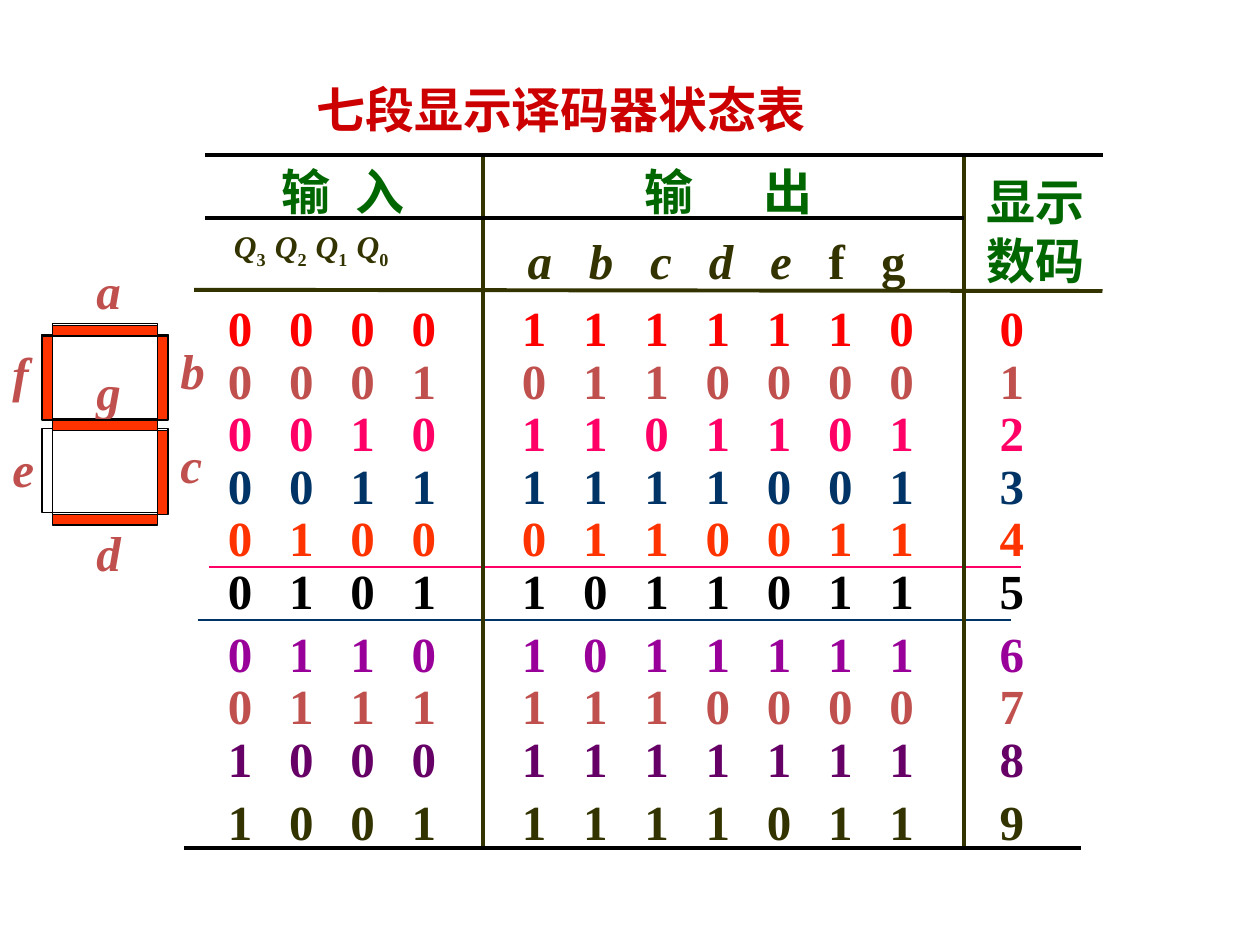
from lxml import etree
from pptx import Presentation
from pptx.dml.color import RGBColor
from pptx.enum.shapes import MSO_CONNECTOR, MSO_SHAPE
from pptx.enum.text import MSO_ANCHOR, MSO_AUTO_SIZE, PP_ALIGN
from pptx.oxml.ns import qn
from pptx.util import Pt

STRAIGHT = MSO_CONNECTOR.STRAIGHT
RECTANGLE = MSO_SHAPE.RECTANGLE
TOP = MSO_ANCHOR.TOP
LEFT = PP_ALIGN.LEFT
NO_AUTOFIT = MSO_AUTO_SIZE.NONE

FONT = "Times New Roman"
TITLE_ONLY = 5
COLORS = {
    "title": "CC0000", "heading": "006600", "olive": "333300", "black": "000000",
    "white": "FFFFFF", "lit": "FF3300", "red": "FF0000", "brick": "C0504D",
    "pink": "FF0066", "navy": "003366", "violet": "990099", "purple": "660066",
}

# Input bits, output bits a to g, colour; the row number is the displayed digit.
STATES = [
    ("0000", "1111110", "red"), ("0001", "0110000", "brick"),
    ("0010", "1101101", "pink"), ("0011", "1111001", "navy"),
    ("0100", "0110011", "lit"), ("0101", "1011011", "black"),
    ("0110", "1011111", "violet"), ("0111", "1110000", "brick"),
    ("1000", "1111111", "purple"), ("1001", "1111011", "olive"),
]
BIT_PITCH = 35
STATE_TABS = ([BIT_PITCH * i for i in range(1, 4)]
              + [168 + BIT_PITCH * i for i in range(7)] + [441])
ROW_TOP, ROW_PITCH, ROW_GAP = 166.5, 30, 6
GAPS_BEFORE = (6, 9)

# Start x, start y, end x, end y, colour, width.
RULES = [
    (113, 354.2, 577.5, 354.2, "navy", 1.5),
    (119.5, 324, 583.2, 324, "pink", 1.5),
    (110.9, 165.6, 630, 166.3, "olive", 2.25),
    (275.8, 88.6, 275.8, 484.6, "olive", 2.25),
    (550.8, 88.6, 550.8, 484.6, "olive", 2.25),
    (117.4, 124.6, 550.8, 124.6, "black", 2.25),
    (117.4, 88.6, 630, 88.6, "black", 2.25),
    (105.1, 484.6, 617.8, 484.6, "black", 2.25),
]

BAR_LENGTH, BAR_HEIGHT, BAR_WIDTH = 60, 48, 6
SEGMENTS = {
    "a": (30, 185), "g": (30, 239), "d": (30, 293),
    "b": (90, 191), "e": (24, 245), "f": (24, 191), "c": (90, 245),
}
HORIZONTAL_SEGMENTS = "agd"
LIT_SEGMENTS = "agdbfc"
SEGMENT_LABELS = {
    "a": (48, 145.5), "b": (96, 191), "c": (96, 245), "d": (48, 295),
    "e": (0, 247), "f": (0, 193), "g": (48, 203),
}


def color(name):
    """Return the named colour."""
    return RGBColor.from_string(COLORS[name])


def add_run(paragraph, text, *, color_name, size=28, italic=False, subscript=False):
    """Append a bold run in the slide font."""
    run = paragraph.add_run()
    run.text = text
    font = run.font
    font.name, font.size, font.bold, font.italic = FONT, Pt(size), True, italic
    font.color.rgb = color(color_name)
    if subscript:
        run._r.get_or_add_rPr().set("baseline", "-25000")


def set_tabs(paragraph, positions):
    """Give a paragraph left tab stops at the positions."""
    properties = paragraph._p.get_or_add_pPr()
    tab_list = etree.SubElement(properties, qn("a:tabLst"))
    for position in positions:
        etree.SubElement(tab_list, qn("a:tab"), pos=str(int(Pt(position))), algn="l")


def add_text(shapes, text, left, top, width, height=41, *, tabs=(), inset=7.2, **style):
    """Add a text box and return its paragraph."""
    frame = shapes.add_textbox(Pt(left), Pt(top), Pt(width), Pt(height)).text_frame
    frame.word_wrap = True
    frame.margin_left = Pt(inset)
    paragraph = frame.paragraphs[0]
    if tabs:
        set_tabs(paragraph, tabs)
    if text:
        add_run(paragraph, text, **style)
    return paragraph


def add_rule(shapes, start_x, start_y, end_x, end_y, color_name, width):
    """Add a straight table rule."""
    rule = shapes.add_connector(STRAIGHT, Pt(start_x), Pt(start_y), Pt(end_x), Pt(end_y))
    rule.line.color.rgb = color(color_name)
    rule.line.width = Pt(width)
    etree.SubElement(rule._element.spPr, qn("a:effectLst"))


def add_segments(shapes, names, fill, offset=0):
    """Add the named display segments as one group."""
    group = shapes.add_group_shape()
    for name in names:
        left, top = SEGMENTS[name]
        width, height = BAR_WIDTH, BAR_HEIGHT
        if name in HORIZONTAL_SEGMENTS:
            width, height = BAR_LENGTH, BAR_WIDTH
        bar = group.shapes.add_shape(
            RECTANGLE, Pt(left), Pt(top + offset), Pt(width), Pt(height))
        bar.shadow.inherit = False
        bar.fill.solid()
        bar.fill.fore_color.rgb = color(fill)
        bar.line.color.rgb = color("black")
        bar.line.width = Pt(0.75)


def add_title(slide):
    """Place and format the title placeholder."""
    title = slide.shapes.title
    title.left, title.top, title.width, title.height = Pt(173.5), Pt(41.8), Pt(305.3), Pt(41)
    frame = title.text_frame
    frame.vertical_anchor, frame.auto_size, frame.word_wrap = TOP, NO_AUTOFIT, True
    paragraph = frame.paragraphs[0]
    paragraph.alignment = LEFT
    add_run(paragraph, "七段显示译码器状态表", color_name="title")


def add_display(shapes):
    """Draw the seven-segment display with its segment letters."""
    add_segments(shapes, SEGMENTS, "white")
    for letter, (left, top) in SEGMENT_LABELS.items():
        add_text(shapes, letter, left, top, 28, color_name="brick", italic=True)
    add_segments(shapes, LIT_SEGMENTS, "lit", offset=1)


def add_headings(shapes):
    """Add the group headings and the signal names."""
    add_text(shapes, "输\t入", 154, 88.6, 85, tabs=[42], color_name="heading")
    add_text(shapes, "输\t出", 361.4, 88.6, 113, tabs=[68], color_name="heading")
    add_text(shapes, "显示数码", 556.6, 94.3, 98, 74, color_name="heading")

    inputs = add_text(shapes, "", 117.4, 126, 158.4, 29, inset=16.2,
                      tabs=[23.4, 46.8, 70.2])
    for index in "3210":
        lead = "" if index == "3" else "\t"
        add_run(inputs, lead + "Q", color_name="olive", size=18, italic=True)
        add_run(inputs, index, color_name="olive", size=18, subscript=True)

    outputs = add_text(shapes, "a\tb\tc\td\te", 294.5, 128.2, 237.6,
                       tabs=[35, 70, 103.5, 138.5, 172, 202],
                       color_name="olive", italic=True)
    add_run(outputs, "\tf\tg", color_name="olive")


def add_states(shapes):
    """Add one row of bits for each displayed digit."""
    for digit, (inputs, outputs, color_name) in enumerate(STATES):
        gaps = sum(digit >= start for start in GAPS_BEFORE)
        top = ROW_TOP + ROW_PITCH * digit + ROW_GAP * gaps
        add_text(shapes, "\t".join(f"{inputs}{outputs}{digit}"), 123.1, top, 469.4,
                 tabs=STATE_TABS, color_name=color_name)


def main():
    """Build the slide and save it."""
    presentation = Presentation()
    presentation.slide_width, presentation.slide_height = Pt(720), Pt(540)
    slide = presentation.slides.add_slide(presentation.slide_layouts[TITLE_ONLY])
    shapes = slide.shapes
    add_title(slide)
    add_display(shapes)
    for rule in RULES:
        add_rule(shapes, *rule)
    add_headings(shapes)
    add_states(shapes)
    presentation.save("out.pptx")


main()
